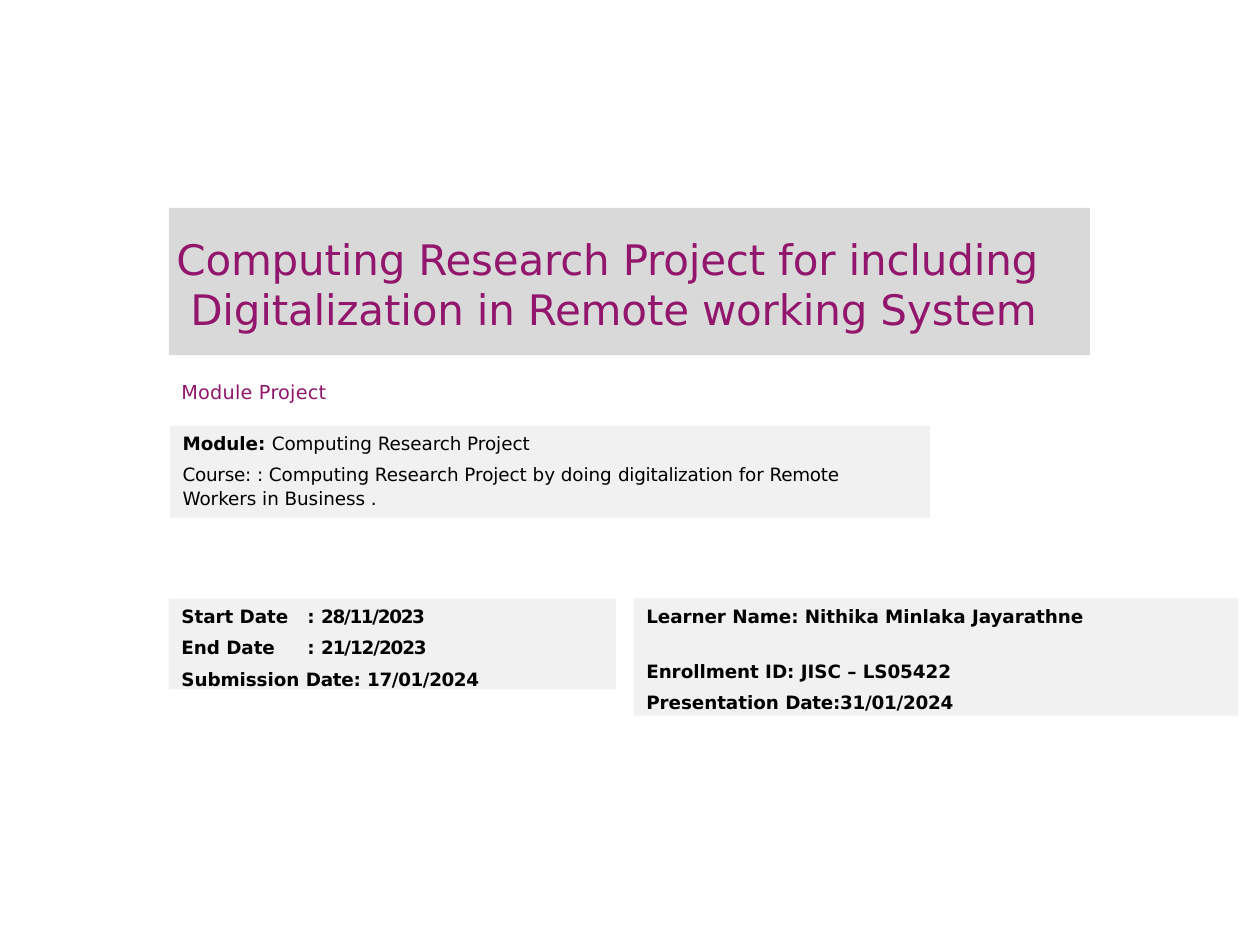
from dataclasses import dataclass

import lxml.etree
import pptx
import pptx.dml.color
import pptx.enum.shapes
import pptx.enum.text
import pptx.oxml.ns
import pptx.slide
import pptx.util
from pptx.util import Inches

PURPLE = pptx.dml.color.RGBColor(0x92, 0x17, 0x6C)
BLACK = pptx.dml.color.RGBColor(0x00, 0x00, 0x00)
SILVER = pptx.dml.color.RGBColor(0xD9, 0xD9, 0xD9)
PALE = pptx.dml.color.RGBColor(0xF1, 0xF1, 0xF1)
FONT = "DejaVu Sans"


@dataclass(frozen=True)
class Span:
    text: str
    tracking: float = 0


@dataclass(frozen=True)
class Line:
    spans: tuple[Span, ...]
    indent: float = 0.1
    before: float = 0
    spacing: float = 1.0
    bold: bool = True
    lead: str = ""
    tab: float = 0


@dataclass(frozen=True)
class Panel:
    left: float
    top: float
    width: float
    height: float
    lines: tuple[Line, ...]
    fill: pptx.dml.color.RGBColor | None = PALE
    color: pptx.dml.color.RGBColor = BLACK
    size: float = 10.5
    inset_top: float = 0.05
    inset_right: float = 0


PANELS = (
    Panel(1.34, 1.65, 7.31, 1.17, (
        Line((Span("Computing Research Project for including", -0.1),), 0.06, bold=False),
        Line((Span("Digitalization in Remote working ", -0.1), Span("System")), 0.17, bold=False),
    ), SILVER, PURPLE, 24, 0.2),
    Panel(1.43, 3, 1.4, 0.22, (
        Line((Span("Module Project", 0.1),), 0.01, bold=False),
    ), None, PURPLE, 11, 0.02),
    Panel(1.34, 4.75, 3.55, 0.72, (
        Line((Span("Start Date\t: "), Span("28/11/2023", -0.7)), tab=1.1),
        Line((Span("End Date\t: "), Span("21/12/2023", -0.6)), before=5.4, tab=1.1),
        Line((Span("Submission "), Span("Date: ", -0.1), Span("17/01/2024", -0.2)), before=5.4),
    )),
    Panel(1.35, 3.38, 6.03, 0.73, (
        Line((Span("Computing Research Project"),), bold=False, lead="Module: "),
        Line((
            Span("Course: ", -0.1),
            Span(": Computing Research Project by doing "),
            Span("digitalization ", -0.1),
            Span("for "),
            Span("Remote ", -0.1),
            Span("Workers in Business ."),
        ), before=4.1, spacing=1.1, bold=False),
    ), inset_right=0.3),
    Panel(5.03, 4.75, 4.8, 0.93, (
        Line((Span("Learner Name: Nithika Minlaka Jayarathne"),)),
        Line((Span("Enrollment ID: JISC – LS05422"),), before=19.2),
        Line((Span("Presentation "), Span("Date:31/01/2024", -0.1)), before=5.3),
    )),
)


def write_line(paragraph, line: Line, panel: Panel) -> None:
    properties = paragraph._p.get_or_add_pPr()
    properties.set("marL", str(Inches(line.indent)))
    properties.set("indent", "0")
    if line.tab:
        tabs = lxml.etree.SubElement(properties, pptx.oxml.ns.qn("a:tabLst"))
        lxml.etree.SubElement(tabs, pptx.oxml.ns.qn("a:tab"), pos=str(Inches(line.tab)), algn="l")
    paragraph.alignment = pptx.enum.text.PP_ALIGN.LEFT
    paragraph.line_spacing = line.spacing
    if line.before:
        paragraph.space_before = pptx.util.Pt(line.before)
    font = paragraph.font
    font.name = FONT
    font.size = pptx.util.Pt(panel.size)
    font.bold = line.bold
    font.color.rgb = panel.color
    if line.lead:
        lead = paragraph.add_run()
        lead.text = line.lead
        lead.font.bold = True
    for span in line.spans:
        run = paragraph.add_run()
        run.text = span.text
        if span.tracking:
            run._r.get_or_add_rPr().set("spc", str(round(span.tracking * 100)))


def draw_panel(slide: pptx.slide.Slide, panel: Panel) -> None:
    place = [Inches(v) for v in (panel.left, panel.top, panel.width, panel.height)]
    if panel.fill is None:
        box = slide.shapes.add_textbox(*place)
    else:
        box = slide.shapes.add_shape(pptx.enum.shapes.MSO_SHAPE.RECTANGLE, *place)
        box.shadow.inherit = False
        box.fill.solid()
        box.fill.fore_color.rgb = panel.fill
        box.line.fill.background()
    frame = box.text_frame
    frame.word_wrap = True
    frame.vertical_anchor = pptx.enum.text.MSO_ANCHOR.TOP
    frame.margin_left = frame.margin_bottom = Inches(0)
    frame.margin_right = Inches(panel.inset_right)
    frame.margin_top = Inches(panel.inset_top)
    for index, line in enumerate(panel.lines):
        paragraph = frame.add_paragraph() if index else frame.paragraphs[0]
        write_line(paragraph, line, panel)


def main() -> None:
    deck = pptx.Presentation()
    deck.slide_width = Inches(10)
    deck.slide_height = Inches(7.5)
    slide = deck.slides.add_slide(deck.slide_layouts[6])
    for panel in PANELS:
        draw_panel(slide, panel)
    deck.save("out.pptx")


if __name__ == "__main__":
    main()
